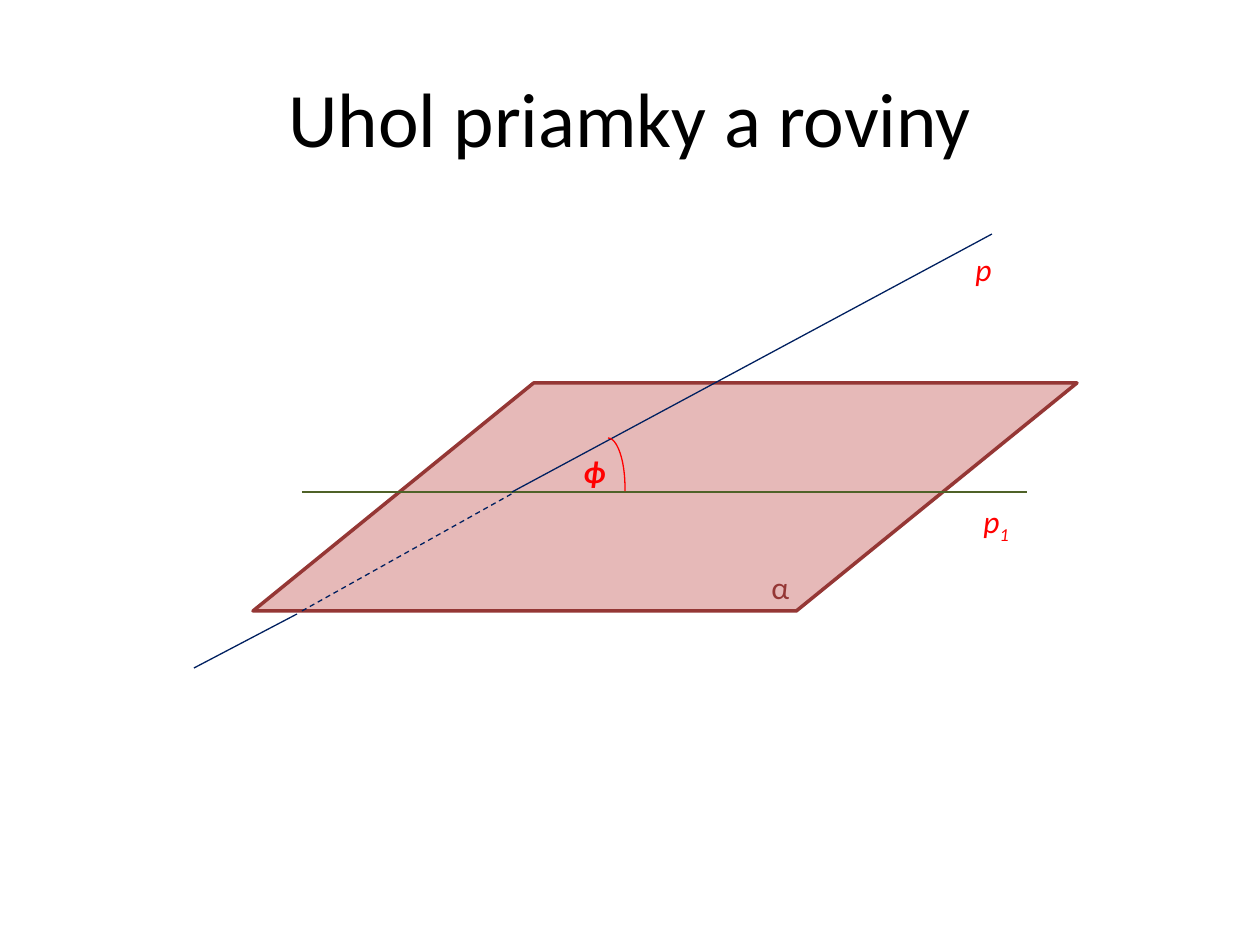
from dataclasses import dataclass

from pptx import Presentation
from pptx import util as u
from pptx.dml.color import RGBColor
from pptx.enum import dml, shapes, text
from pptx.oxml import ns, xmlchemy

EMU_PER_PX = 914400 / 126


def px(length):
    return u.Emu(round(length * EMU_PER_PX))


@dataclass(frozen=True)
class Theme:
    font: str = "Calibri"
    title_size: int = 44
    label_size: int = 18
    thin: float = 0.75
    medium: float = 1.5
    thick: float = 2
    ink: str = "000000"
    plane_fill: str = "E6B9B8"
    plane_edge: str = "953735"
    line: str = "002060"
    projection: str = "4F6228"
    accent: str = "FF0000"


class Sketch:
    """Draws the elements of a geometry figure on one slide."""

    def __init__(self, slide, theme):
        self.slide = slide
        self.theme = theme

    def group(self):
        return self.slide.shapes.add_group_shape()

    def add_run(self, paragraph, words, size, color, bold=False, italic=False):
        run = paragraph.add_run()
        run.text = words
        run.font.name = self.theme.font
        run.font.size = u.Pt(size)
        run.font.bold = bold
        run.font.italic = italic
        run.font.color.rgb = RGBColor.from_string(color)
        return run

    def title(self, words, box):
        shape = self.slide.shapes.title
        shape.left, shape.top, shape.width, shape.height = map(px, box)
        frame = shape.text_frame
        frame.vertical_anchor = text.MSO_ANCHOR.MIDDLE
        paragraph = frame.paragraphs[0]
        paragraph.alignment = text.PP_ALIGN.CENTER
        self.add_run(paragraph, words, self.theme.title_size, self.theme.ink)

    def label(self, words, box, color, subscript="", parent=None, **style):
        shape = (parent or self.slide).shapes.add_textbox(*map(px, box))
        frame = shape.text_frame
        frame.word_wrap = False
        frame.auto_size = text.MSO_AUTO_SIZE.SHAPE_TO_FIT_TEXT
        paragraph = frame.paragraphs[0]
        size = self.theme.label_size
        self.add_run(paragraph, words, size, color, **style)
        if subscript:
            run = self.add_run(paragraph, subscript, size, color, **style)
            run.font._element.set("baseline", "-25000")

    def outline(self, kind, box, adjustments, color, width, fill=None, parent=None):
        """Add a preset shape, unfilled unless a fill is given."""
        shape = (parent or self.slide).shapes.add_shape(kind, *map(px, box))
        shape.shadow.inherit = False
        for index, value in enumerate(adjustments):
            shape.adjustments[index] = value
        if fill:
            shape.fill.solid()
            shape.fill.fore_color.rgb = RGBColor.from_string(fill)
        else:
            shape.fill.background()
        shape.line.color.rgb = RGBColor.from_string(color)
        shape.line.width = u.Pt(width)

    def segment(self, start, end, color, width, dashed=False):
        connector = self.slide.shapes.add_connector(
            shapes.MSO_CONNECTOR.STRAIGHT, *map(px, start + end))
        connector.line.color.rgb = RGBColor.from_string(color)
        connector.line.width = u.Pt(width)
        if dashed:
            connector.line.dash_style = dml.MSO_LINE.DASH
        properties = connector._element.spPr
        properties.append(xmlchemy.OxmlElement("a:effectLst"))


def main():
    presentation = Presentation()
    presentation.slide_width, presentation.slide_height = px(1260), px(945)
    slide = presentation.slides.add_slide(presentation.slide_layouts[5])
    theme = Theme()
    sketch = Sketch(slide, theme)
    sketch.title("Uhol priamky a roviny", (63, 38, 1134, 158))

    plane = sketch.group()
    sketch.outline(shapes.MSO_SHAPE.PARALLELOGRAM, (253, 383, 824, 228), [1.231],
                   theme.plane_edge, theme.thick, theme.plane_fill, plane)
    sketch.label("α", (759, 562, 45, 50), theme.plane_edge, parent=plane)

    sketch.segment((302, 492), (1027, 492), theme.projection, theme.medium)
    sketch.label("p", (971, 496, 53, 50), theme.accent, subscript="1", italic=True)

    for start, end, hidden in (
        ((512, 492), (992, 234), False),
        ((302, 611), (515, 492), True),
        ((194, 668), (297, 614), False),
    ):
        sketch.segment(start, end, theme.line, theme.thin, dashed=hidden)
    sketch.label("p", (963, 244, 42, 50), theme.accent, italic=True)

    angle = sketch.group()
    sketch.outline(shapes.MSO_SHAPE.ARC, (591, 438, 34, 100), [162, 6.27],
                   theme.accent, theme.thin, parent=angle)
    sketch.label("ϕ", (571, 446, 40, 50), theme.accent, parent=angle,
                 bold=True, italic=True)

    presentation.save("out.pptx")


if __name__ == "__main__":
    main()
